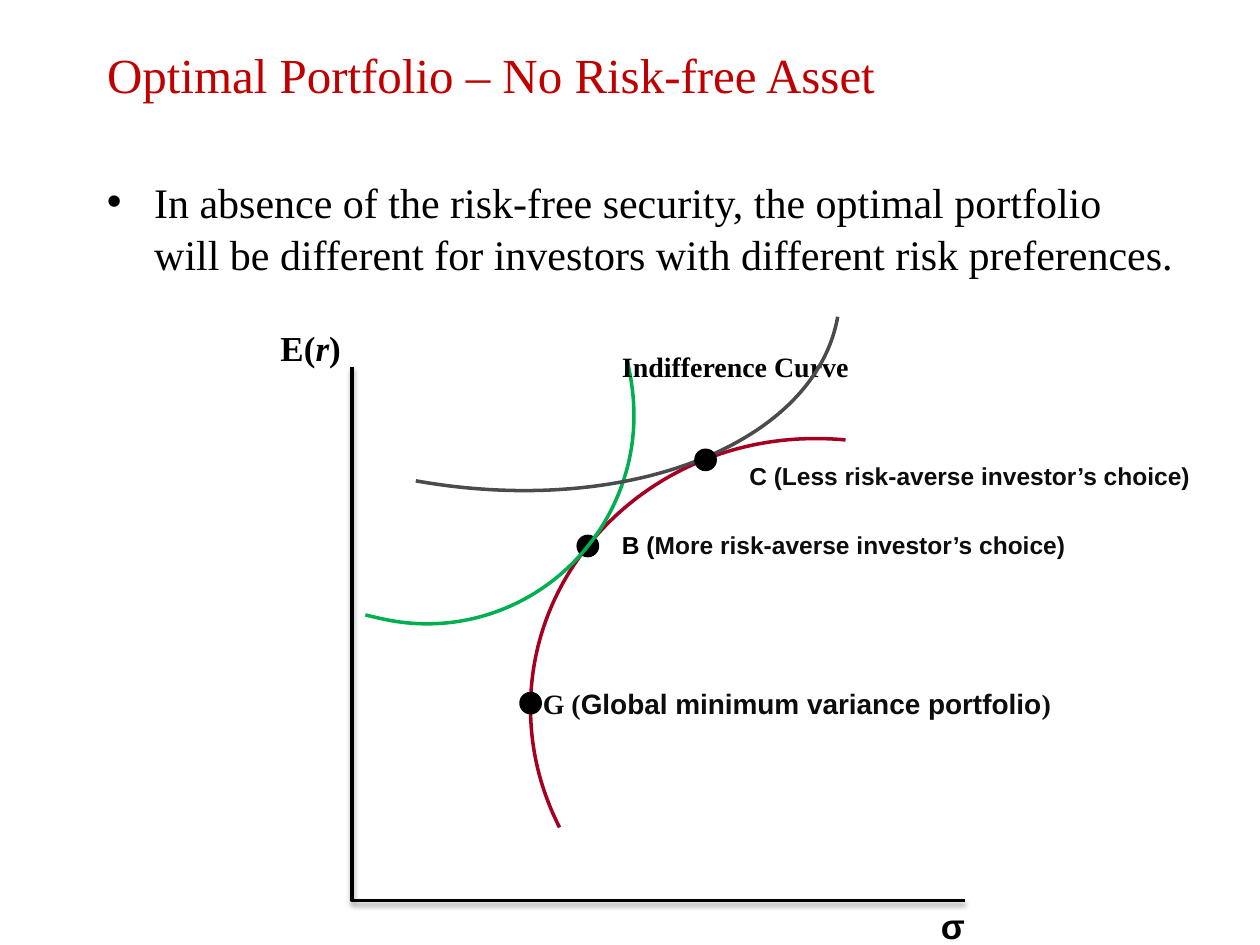
from dataclasses import dataclass

from lxml.etree import Element, SubElement
from pptx import Presentation
from pptx.dml.color import RGBColor
from pptx.enum.shapes import MSO_SHAPE as Preset
from pptx.enum.text import MSO_ANCHOR as Anchor, PP_ALIGN as Align
from pptx.oxml.ns import qn
from pptx.util import Pt

Point = tuple[float, float]
SERIF, SANS = "Times New Roman", "Arial"
BLACK, INK, RED = "000000", "0D0D0D", "C00000"
DOT_SIZE = 12


@dataclass
class Run:
    text: str
    font: str = SERIF
    color: str = BLACK
    italic: bool = False


@dataclass
class Label:
    left: float
    top: float
    width: float
    height: float
    size: float
    runs: list[Run]
    wrap: bool = False


@dataclass
class Curve:
    color: str
    points: list[Point]
    rotation: float = 0


def rgb(value: str) -> RGBColor:
    return RGBColor.from_string(value)


def write(paragraph, text: str, *, size: float, font: str = SERIF, color: str = BLACK,
          bold: bool = False, italic: bool = False) -> None:
    run = paragraph.add_run()
    run.text = text
    run.font.size = Pt(size)
    run.font.name = font
    run.font.bold = bold
    run.font.italic = italic
    run.font.color.rgb = rgb(color)


def add_label(slide, label: Label) -> None:
    box = slide.shapes.add_textbox(Pt(label.left), Pt(label.top), Pt(label.width), Pt(label.height))
    box.text_frame.word_wrap = label.wrap
    for part in label.runs:
        write(box.text_frame.paragraphs[0], part.text, size=label.size, font=part.font,
              color=part.color, bold=True, italic=part.italic)


def add_outline(slide, points: list[Point], color: str):
    corners = [(Pt(x), Pt(y)) for x, y in points]
    builder = slide.shapes.build_freeform(*corners[0])
    builder.add_line_segments(corners[1:], close=False)
    outline = builder.convert_to_shape()
    outline.fill.background()
    outline.line.color.rgb = rgb(color)
    outline.line.width = Pt(2)
    outline.shadow.inherit = False
    return outline


def add_curve(slide, curve: Curve) -> None:
    outline = add_outline(slide, curve.points, curve.color)
    outline.rotation = curve.rotation
    lines = list(outline._element.iter(qn("a:lnTo")))
    for first in range(0, len(lines), 3):
        bend = Element(qn("a:cubicBezTo"))
        lines[first].addprevious(bend)
        for line in lines[first:first + 3]:
            bend.append(line[0])
            line.getparent().remove(line)


def add_axes(slide) -> None:
    axes = add_outline(slide, [(201.3, 209.5), (201.3, 514.5), (551.5, 514.5)], BLACK)
    effects = axes._element.spPr.find(qn("a:effectLst"))
    shadow = SubElement(effects, qn("a:outerShdw"), blurRad=str(Pt(3.1)), dist=str(Pt(1.6)),
                        dir="5400000", rotWithShape="0")
    shade = SubElement(shadow, qn("a:srgbClr"), val=BLACK)
    SubElement(shade, qn("a:alpha"), val="38000")


def add_dot(slide, center: Point) -> None:
    x, y = center
    dot = slide.shapes.add_shape(Preset.OVAL, Pt(x - DOT_SIZE / 2), Pt(y - DOT_SIZE / 2),
                                 Pt(DOT_SIZE), Pt(DOT_SIZE))
    dot.fill.solid()
    dot.fill.fore_color.rgb = rgb(BLACK)
    dot.line.color.rgb = rgb(BLACK)
    dot.line.width = Pt(1)
    dot.shadow.inherit = False


def add_title(slide, text: str) -> None:
    title = slide.shapes.title
    title.left, title.top, title.width, title.height = Pt(54), Pt(12), Pt(612), Pt(60)
    title.text_frame.vertical_anchor = Anchor.MIDDLE
    heading = title.text_frame.paragraphs[0]
    heading.alignment = Align.LEFT
    write(heading, text, size=28, color=RED)


def add_bullet(slide, text: str) -> None:
    body = slide.shapes.add_textbox(Pt(54), Pt(96), Pt(624), Pt(403.2))
    body.text_frame.word_wrap = True
    statement = body.text_frame.paragraphs[0]
    statement.line_spacing = Pt(30)
    props = statement._p.get_or_add_pPr()
    props.set("marL", str(Pt(27)))
    props.set("indent", str(Pt(-27)))
    SubElement(props, qn("a:buFont"), typeface=SANS)
    SubElement(props, qn("a:buChar"), char="•")
    write(statement, text, size=24)


FRONTIER = Curve("A50021", [
    (319.8, 472.8),
    (308.9, 451.4), (303.2, 428.4), (303.2, 404.6),
    (303.2, 319.7), (375.8, 250.6), (465.8, 250.6),
    (471.6, 250.6), (477.4, 250.8), (483.2, 251.4),
])
MORE_AVERSE = Curve("00B050", [
    (342.3, 194.4),
    (350.1, 211.1), (354.5, 228.6), (354.6, 247),
    (354.6, 313.1), (302, 366.5), (236.6, 366.5),
    (232.9, 366.5), (228.5, 366.4), (224.7, 366.2),
], rotation=11.6)
LESS_AVERSE = Curve("4B4B4B", [
    (247.7, 295.2),
    (369.4, 295.2), (468.6, 235), (468.6, 160.6),
], rotation=10.1)
CHOICE_B, CHOICE_C, MINIMUM_G = (335.9, 312), (403.2, 262.8), (303.2, 401.8)

RETURN_AXIS = Label(153.2, 182.9, 50.4, 31, 20, [Run("E("), Run("r", italic=True), Run(")")])
RISK_AXIS = Label(530.6, 513.4, 41.8, 31, 20, [Run("σ", SANS)], wrap=True)
INDIFFERENCE = Label(348.3, 196.3, 145.4, 26.6, 16, [Run("Indifference Curve")])
G_NAME = Label(303.1, 388.8, 320.4, 46, 16, [
    Run("G (", color=INK),
    Run("Global minimum variance portfolio", SANS, INK),
    Run(")", color=INK),
])
B_NAME = Label(348.3, 299.4, 267.8, 23.8, 14, [
    Run("B (", SANS),
    Run("More risk-averse investor’s choice)", SANS, INK),
], wrap=True)
C_NAME = Label(421.1, 259.9, 286.6, 23.8, 14,
               [Run("C (Less risk-averse investor’s choice)", SANS, INK)], wrap=True)


def main() -> None:
    deck = Presentation()
    deck.slide_width, deck.slide_height = Pt(720), Pt(540)
    slide = deck.slides.add_slide(deck.slide_layouts[5])
    add_title(slide, "Optimal Portfolio – No Risk-free Asset")
    add_bullet(slide, "In absence of the risk-free security, the optimal portfolio will be "
                      "different for investors with different risk preferences.")
    add_label(slide, RETURN_AXIS)
    add_curve(slide, FRONTIER)
    add_dot(slide, CHOICE_B)
    add_label(slide, G_NAME)
    add_label(slide, B_NAME)
    add_axes(slide)
    add_label(slide, RISK_AXIS)
    add_curve(slide, MORE_AVERSE)
    add_label(slide, INDIFFERENCE)
    add_dot(slide, MINIMUM_G)
    add_curve(slide, LESS_AVERSE)
    add_dot(slide, CHOICE_C)
    add_label(slide, C_NAME)
    deck.save("out.pptx")


if __name__ == "__main__":
    main()
